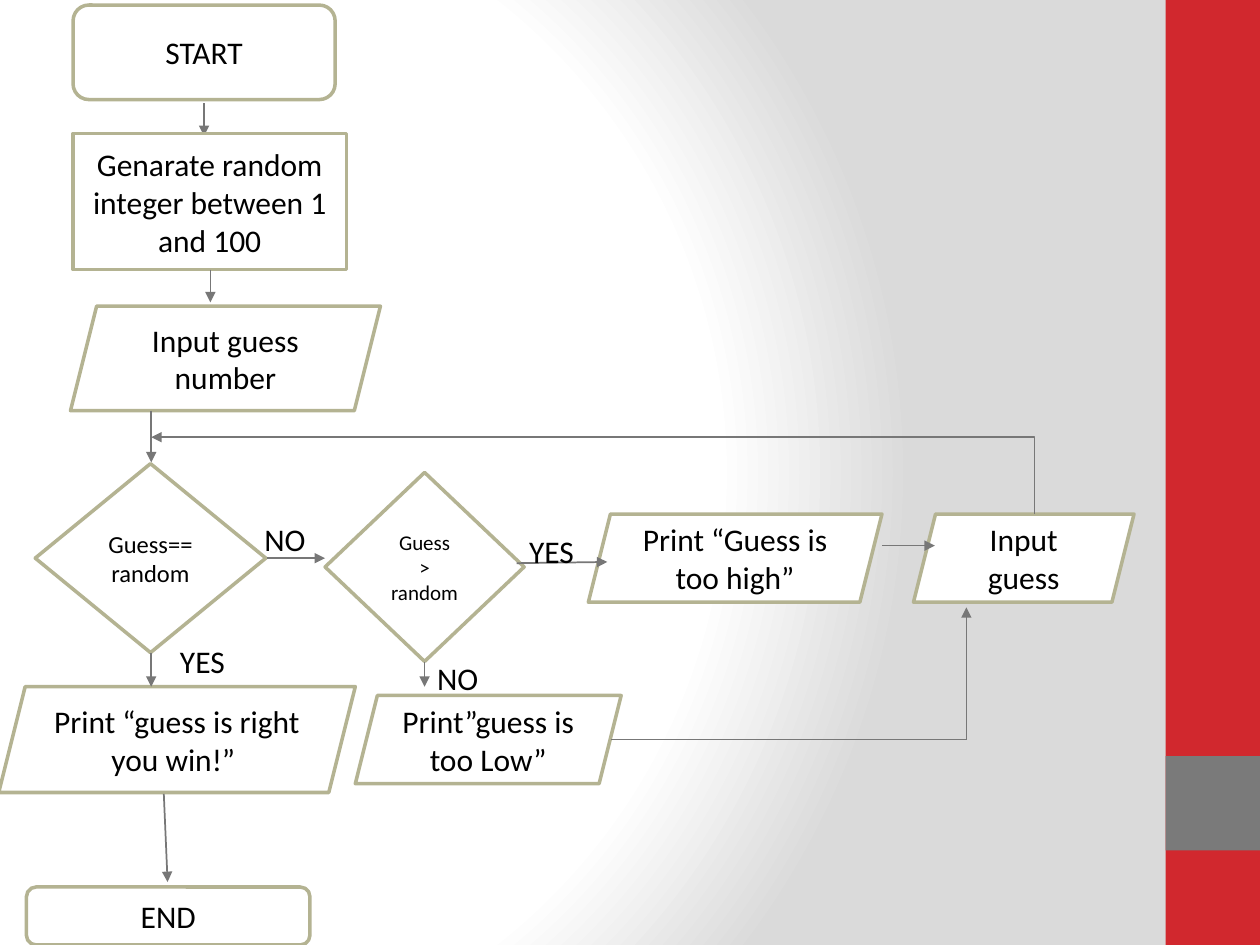
import dataclasses
import lxml.etree
import pptx
import pptx.dml.color
import pptx.enum.shapes
import pptx.enum.text
import pptx.oxml
import pptx.oxml.ns
import pptx.util

Inches = pptx.util.Inches
Kind = pptx.enum.shapes.MSO_SHAPE
Link = pptx.enum.shapes.MSO_CONNECTOR
qn = pptx.oxml.ns.qn


@dataclasses.dataclass(frozen=True)
class Theme:
    font: str = "Calibri"
    ink: str = "000000"
    paper: str = "FFFFFF"
    shade: str = "DADADA"
    edge: str = "B4B392"
    arrow: str = "777777"
    red: str = "D1282E"
    gray: str = "7A7A7A"
    body: int = 18
    mid: int = 14
    small: int = 12
    rim: int = 2
    thin: int = 1


class Chart:
    def __init__(self, slide, theme):
        self.slide = slide
        self.theme = theme

    def color(self, code):
        return pptx.dml.color.RGBColor.from_string(code)

    def back(self):
        fill = self.slide.background.fill
        fill.solid()
        stops = "".join(
            f'<a:gs pos="{pos}"><a:srgbClr val="{code}"/></a:gs>'
            for pos, code in ((0, self.theme.paper), (75000, self.theme.paper),
                              (100000, self.theme.shade)))
        grad = pptx.oxml.parse_xml(
            '<a:gradFill rotWithShape="1" '
            'xmlns:a="http://schemas.openxmlformats.org/drawingml/2006/main">'
            f'<a:gsLst>{stops}</a:gsLst><a:path path="circle">'
            '<a:fillToRect l="20000" t="50000" r="100000" b="50000"/>'
            '</a:path></a:gradFill>')
        solid = next(self.slide.element.iter(qn("a:solidFill")))
        solid.getparent().replace(solid, grad)

    def shape(self, kind, spot, fill):
        shape = self.slide.shapes.add_shape(kind, *map(Inches, spot))
        shape.shadow.inherit = False
        shape.fill.solid()
        shape.fill.fore_color.rgb = self.color(fill)
        return shape

    def band(self, spot, fill):
        self.shape(Kind.RECTANGLE, spot, fill).line.fill.background()

    def text(self, frame, lines, size, align):
        frame.word_wrap = True
        for i, words in enumerate(lines):
            para = frame.add_paragraph() if i else frame.paragraphs[0]
            para.alignment = align
            run = para.add_run()
            run.text = words
            run.font.name = self.theme.font
            run.font.size = pptx.util.Pt(size)
            run.font.color.rgb = self.color(self.theme.ink)

    def node(self, kind, spot, *lines, size=None):
        shape = self.shape(kind, spot, self.theme.paper)
        shape.line.color.rgb = self.color(self.theme.edge)
        shape.line.width = pptx.util.Pt(self.theme.rim)
        shape.text_frame.vertical_anchor = pptx.enum.text.MSO_ANCHOR.MIDDLE
        self.text(shape.text_frame, lines, size or self.theme.body,
                  pptx.enum.text.PP_ALIGN.CENTER)

    def label(self, words, left, top, width=0.62):
        box = self.slide.shapes.add_textbox(*map(Inches, (left, top, width, 0.4)))
        self.text(box.text_frame, [words], self.theme.body,
                  pptx.enum.text.PP_ALIGN.LEFT)

    def line(self, start, end, head=True, link=Link.STRAIGHT):
        wire = self.slide.shapes.add_connector(link, *map(Inches, start + end))
        wire.line.color.rgb = self.color(self.theme.arrow)
        wire.line.width = pptx.util.Pt(self.theme.thin)
        props = wire.element.spPr
        if head:
            lxml.etree.SubElement(props.find(qn("a:ln")), qn("a:tailEnd"),
                                  type="triangle")
        lxml.etree.SubElement(props, qn("a:effectLst"))
        return props

    def bend(self, start, end):
        (x1, y1), (x2, y2) = start, end
        midx, midy = (x1 + x2) / 2, (y1 + y2) / 2
        wide, high = abs(y2 - y1) / 2, abs(x2 - x1) / 2
        props = self.line((midx - wide, midy - high), (midx + wide, midy + high),
                          link=Link.ELBOW)
        props.find(qn("a:prstGeom")).set("prst", "bentConnector2")
        frame = props.find(qn("a:xfrm"))
        frame.set("rot", str(270 * 60000))
        frame.set("flipV", "1")


def main():
    deck = pptx.Presentation()
    deck.slide_width, deck.slide_height = Inches(10), Inches(7.5)
    theme = Theme()
    chart = Chart(deck.slides.add_slide(deck.slide_layouts[6]), theme)

    chart.back()
    chart.band((9.25, 0, 0.75, 7.5), theme.red)
    chart.band((9.25, 6, 0.75, 0.75), theme.gray)

    chart.node(Kind.ROUNDED_RECTANGLE, (0.58, 0.04, 2.08, 0.75), "START")
    chart.line((1.62, 0.82), (1.62, 1.08))
    chart.node(Kind.RECTANGLE, (0.58, 1.06, 2.17, 1.08),
               "Genarate random integer between 1 and 100")
    chart.node(Kind.DIAMOND, (0.28, 3.68, 1.83, 1.5), "Guess==", "random",
               size=theme.mid)
    chart.node(Kind.DIAMOND, (2.58, 3.75, 1.58, 1.5), "Guess", ">", "random",
               size=theme.small)
    chart.node(Kind.ROUNDED_RECTANGLE, (0.21, 7.04, 2.25, 0.46), "END")
    for words, *spot in (
            ("Input guess number", 0.56, 2.43, 2.46, 0.83),
            ("Print “guess is right you win!” ", -0.01, 5.45, 2.83, 0.84),
            ("Print”guess is too Low”", 2.82, 5.52, 2.11, 0.7),
            ("Print “Guess is too high”", 4.67, 4.08, 2.33, 0.7),
            ("Input guess", 7.25, 4.08, 1.75, 0.7)):
        chart.node(Kind.PARALLELOGRAM, spot, words)

    for start, end in (
            ((1.67, 2.14), (1.67, 2.4)),
            ((1.2, 3.26), (1.2, 3.67)),
            ((1.2, 5.18), (1.2, 5.45)),
            ((1.3, 6.3), (1.33, 7)),
            ((2.12, 4.43), (2.58, 4.43)),
            ((3.37, 5.25), (3.37, 5.45)),
            ((4.1, 4.47), (4.82, 4.46)),
            ((7, 4.33), (7.42, 4.33)),
            ((7.67, 5.87), (7.67, 4.82))):
        chart.line(start, end)
    chart.line((4.85, 5.87), (7.67, 5.87), head=False)
    chart.bend((8.21, 4.08), (1.2, 3.47))

    chart.label("NO", 2, 4.08)
    chart.label("YES", 1.33, 5.05, 0.92)
    chart.label("YES", 4.1, 4.17)
    chart.label("NO", 3.37, 5.18)

    deck.save("out.pptx")


if __name__ == "__main__":
    main()
